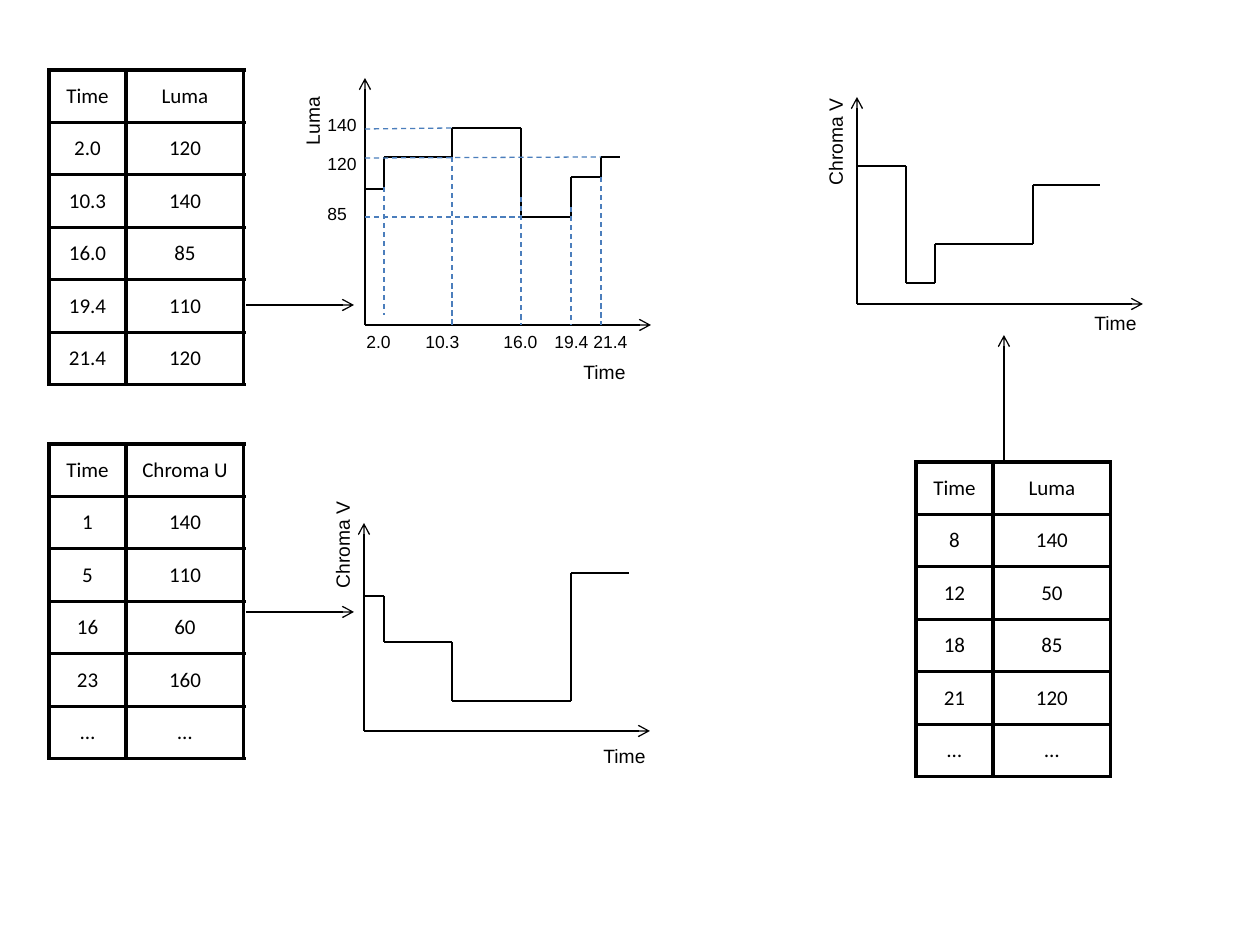
"""Build a slide of time tables and the step graphs they describe."""
from dataclasses import dataclass
from itertools import pairwise

import lxml.etree
import pptx
import pptx.dml.color
import pptx.enum.dml
import pptx.enum.shapes
import pptx.enum.text
import pptx.oxml.ns
import pptx.util

PIXEL = 914400 // 126
BLACK = pptx.dml.color.RGBColor(0x00, 0x00, 0x00)
WHITE = pptx.dml.color.RGBColor(0xFF, 0xFF, 0xFF)
BLUE = pptx.dml.color.RGBColor(0x4B, 0x7E, 0xBC)
COLUMN_WIDTHS = (77, 118)
TABLE_HEIGHT = 315
TIME_SIZE = (69, 36)

Point = tuple[int, int]


@dataclass(frozen=True)
class TimeTable:
    """A two-column table with its top left corner."""
    left: int
    top: int
    rows: tuple[tuple[str, str], ...]


@dataclass(frozen=True)
class Label:
    """A piece of text in a box, turned upward on request."""
    text: str
    left: int
    top: int
    width: int
    height: int
    size: int = 11
    upright: bool = False


@dataclass(frozen=True)
class Graph:
    """Two axes from an origin, a step trace and the axis titles."""
    origin: Point
    top: int
    right: int
    trace: tuple[Point, ...]
    titles: tuple[Label, Label]


TABLES = (
    TimeTable(49, 70, (("Time", "Luma"), ("2.0", "120"), ("10.3", "140"),
                       ("16.0", "85"), ("19.4", "110"), ("21.4", "120"))),
    TimeTable(49, 444, (("Time", "Chroma U"), ("1", "140"), ("5", "110"),
                        ("16", "60"), ("23", "160"), ("…", "…"))),
    TimeTable(916, 462, (("Time", "Luma"), ("8", "140"), ("12", "50"),
                         ("18", "85"), ("21", "120"), ("…", "…"))),
)
GRAPHS = (
    Graph((365, 325), 78, 651,
          ((365, 189), (384, 189), (384, 157), (452, 157), (452, 128), (521, 128),
           (521, 217), (571, 217), (571, 177), (601, 177), (601, 157), (620, 157)),
          (Label("Luma", 273, 100, 79, 36, upright=True),
           Label("Time", 571, 354, *TIME_SIZE))),
    Graph((364, 731), 523, 650,
          ((364, 596), (384, 596), (384, 642), (452, 642), (452, 701), (571, 701),
           (571, 573), (629, 573)),
          (Label("Chroma V", 278, 518, 129, 36, upright=True),
           Label("Time", 591, 738, *TIME_SIZE))),
    Graph((857, 304), 97, 1143,
          ((857, 166), (906, 166), (906, 283), (935, 283), (935, 244), (1033, 244),
           (1033, 185), (1100, 185)),
          (Label("Chroma V", 771, 115, 129, 36, upright=True),
           Label("Time", 1082, 305, *TIME_SIZE))),
)
ARROWS = (((246, 305), (354, 305)), ((246, 612), (354, 612)), ((1004, 462), (1004, 335)))
GUIDES = (
    ((384, 187), (384, 315)), ((452, 157), (452, 325)), ((521, 197), (521, 325)),
    ((571, 207), (571, 325)), ((601, 177), (601, 325)),
    ((365, 217), (521, 217)), ((365, 158), (601, 157)), ((365, 129), (452, 128)),
)
TICKS = (
    Label("2.0", 354, 325, 49, 34, 10),
    *(Label(text, left, 325, 59, 34, 10) for text, left in
      (("10.3", 413), ("16.0", 491), ("19.4", 542), ("21.4", 581))),
    *(Label(text, 315, top, 54, 34, 10) for text, top in
      (("140", 108), ("120", 147), ("85", 197))),
)


def px(length: float) -> int:
    """Turn pixels into EMU."""
    return round(length * PIXEL)


def apply(target, values: dict) -> None:
    """Set each attribute named in values."""
    for name, value in values.items():
        setattr(target, name, value)


def sub(parent, tag: str, **attributes: str):
    """Append a drawing element."""
    return lxml.etree.SubElement(parent, pptx.oxml.ns.qn(tag), attributes)


def write(para, text: str, font: str, size: int) -> None:
    """Put black text in a paragraph."""
    span = para.add_run()
    span.text = text
    apply(span.font, {"name": font, "size": pptx.util.Pt(size)})
    span.font.color.rgb = BLACK


def draw_line(page, start: Point, end: Point, arrow: bool = False, guide: bool = False) -> None:
    """Draw a thin line, with an arrowhead or as a dashed guide."""
    line = page.shapes.add_connector(
        pptx.enum.shapes.MSO_CONNECTOR.STRAIGHT, *map(px, (*start, *end)))
    line.line.width = pptx.util.Pt(0.75)
    line.line.color.rgb = BLUE if guide else BLACK
    if guide:
        line.line.dash_style = pptx.enum.dml.MSO_LINE.DASH
    if arrow:
        sub(line.line._get_or_add_ln(), "a:tailEnd", type="arrow")
    sub(line._element.spPr, "a:effectLst")


def draw_label(page, label: Label) -> None:
    """Place a text label."""
    box = page.shapes.add_textbox(
        *map(px, (label.left, label.top, label.width, label.height)))
    box.rotation = 270 if label.upright else 0
    apply(box.text_frame, {
        "word_wrap": label.upright,
        "auto_size": pptx.enum.text.MSO_AUTO_SIZE.SHAPE_TO_FIT_TEXT,
    })
    write(box.text_frame.paragraphs[0], label.text, "Arial", label.size)


def draw_cell(cell, text: str) -> None:
    """Fill a cell with centred text and give it black borders."""
    apply(cell, {"margin_left": 0, "margin_right": 0,
                 "vertical_anchor": pptx.enum.text.MSO_ANCHOR.MIDDLE})
    cell.fill.solid()
    cell.fill.fore_color.rgb = WHITE
    para = cell.text_frame.paragraphs[0]
    para.alignment = pptx.enum.text.PP_ALIGN.CENTER
    write(para, text, "Calibri", 12)
    properties = cell._tc.get_or_add_tcPr()
    for index, side in enumerate(("a:lnL", "a:lnR", "a:lnT", "a:lnB")):
        border = sub(properties, side, w=str(pptx.util.Pt(2)))
        sub(sub(border, "a:solidFill"), "a:srgbClr", val=str(BLACK))
        properties.insert(index, border)


def draw_table(page, data: TimeTable) -> None:
    """Draw a table with equal rows."""
    table = page.shapes.add_table(
        len(data.rows), len(COLUMN_WIDTHS),
        *map(px, (data.left, data.top, sum(COLUMN_WIDTHS), TABLE_HEIGHT))).table
    apply(table, {"first_row": False, "horz_banding": False})
    for column, width in zip(table.columns, COLUMN_WIDTHS):
        column.width = px(width)
    for row, texts in zip(table.rows, data.rows):
        row.height = px(TABLE_HEIGHT / len(data.rows))
        for cell, text in zip(row.cells, texts):
            draw_cell(cell, text)


def draw_graph(page, graph: Graph) -> None:
    """Draw the axes, the step trace and the axis titles."""
    left, bottom = graph.origin
    for end in ((left, graph.top), (graph.right, bottom)):
        draw_line(page, graph.origin, end, arrow=True)
    for start, end in pairwise(graph.trace):
        draw_line(page, start, end)
    for title in graph.titles:
        draw_label(page, title)


def main() -> None:
    """Build and save the deck."""
    deck = pptx.Presentation()
    apply(deck, {"slide_width": px(1260), "slide_height": px(945)})
    page = deck.slides.add_slide(deck.slide_layouts[6])
    for table in TABLES:
        draw_table(page, table)
    for graph in GRAPHS:
        draw_graph(page, graph)
    for start, end in ARROWS:
        draw_line(page, start, end, arrow=True)
    for start, end in GUIDES:
        draw_line(page, start, end, guide=True)
    for tick in TICKS:
        draw_label(page, tick)
    deck.save("out.pptx")


main()
